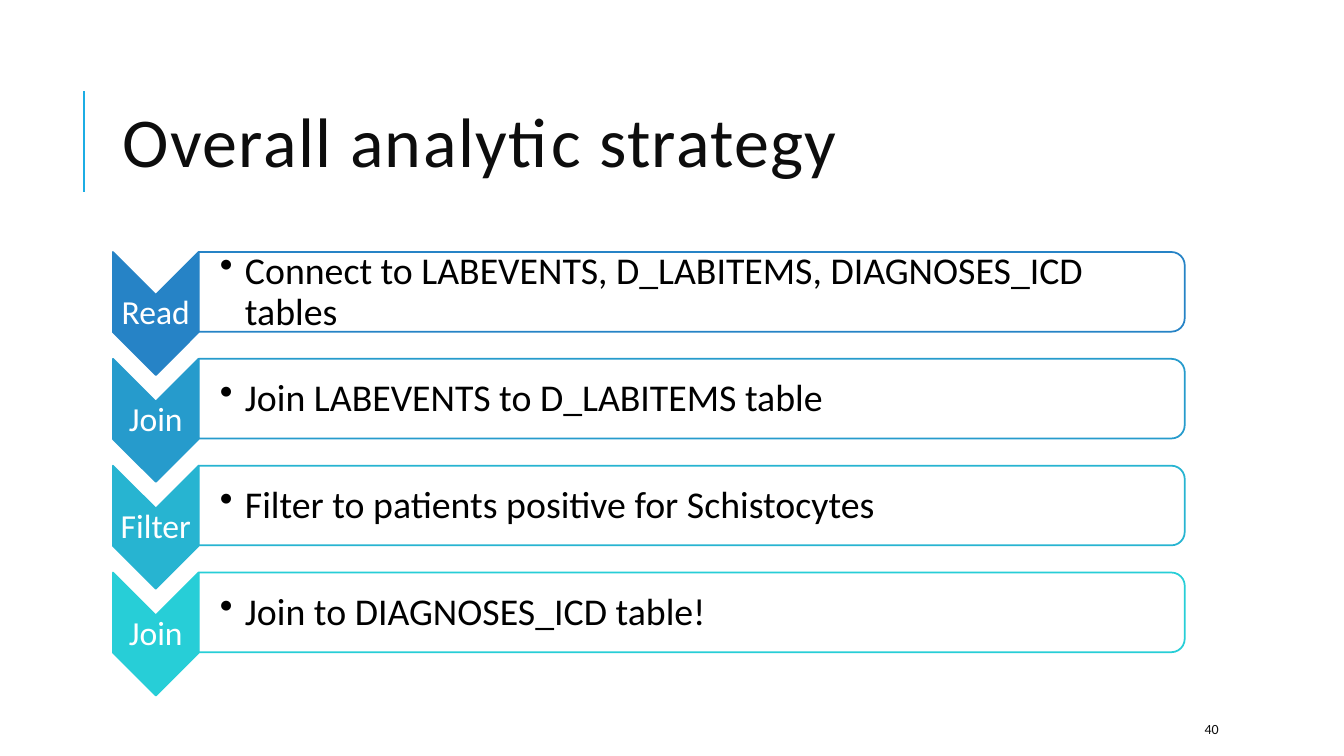
from lxml import etree
from pptx import Presentation
from pptx.dml.color import RGBColor
from pptx.enum import shapes, text
from pptx.oxml import ns
from pptx.util import Inches, Pt

COLORS = {
    "accent": "1CADE4", "title": "0D0D0D", "body": "000000", "white": "FFFFFF",
    "read": "2683C6", "join": "269BCC", "filter": "27B4D1", "final": "27CED7",
}
STEPS = [
    ("Read", "Connect to LABEVENTS, D_LABITEMS, DIAGNOSES_ICD tables", "read"),
    ("Join", "Join LABEVENTS to D_LABITEMS table", "join"),
    ("Filter", "Filter to patients positive for Schistocytes", "filter"),
    ("Join", "Join to DIAGNOSES_ICD table!", "final"),
]
ROW_PITCH = 1.06
CHEVRON_W, CHEVRON_H = 0.85, 1.22
BAR_H = 0.79


def rgb(name):
    return RGBColor.from_string(COLORS[name])


def add_text(s, box, content, size, color, inset=(0.1, 0.05, 0.1, 0.05), spacing=1.0):
    tb = s.shapes.add_textbox(*map(Inches, box))
    tf = tb.text_frame
    tf.word_wrap = True
    tf.vertical_anchor = text.MSO_ANCHOR.MIDDLE
    tf.margin_left, tf.margin_top, tf.margin_right, tf.margin_bottom = map(Inches, inset)
    tf.text = content
    p = tf.paragraphs[0]
    p.line_spacing = spacing
    font = p.runs[0].font
    font.name, font.size = "Calibri", Pt(size)
    font.color.rgb = rgb(color)
    return p


def add_turned(s, kind, box, fill, line):
    """Add a shape turned by 90 degrees so that it covers the given box."""
    x, y, w, h = box
    sp = s.shapes.add_shape(kind, Inches(x + (w - h) / 2), Inches(y + (h - w) / 2),
                            Inches(h), Inches(w))
    sp.rotation = 90
    sp.shadow.inherit = False
    sp.fill.solid()
    sp.fill.fore_color.rgb = rgb(fill)
    sp.line.color.rgb = rgb(line)
    sp.line.width = Pt(1.25)
    return sp


def add_bullet(p):
    pPr = p._p.get_or_add_pPr()
    pPr.set("marL", str(Inches(0.25)))
    pPr.set("indent", str(-Inches(0.25)))
    bu_color = etree.SubElement(pPr, ns.qn("a:buClr"))
    etree.SubElement(bu_color, ns.qn("a:srgbClr"), val=COLORS["body"])
    etree.SubElement(pPr, ns.qn("a:buChar"), char="•")


def add_header(s, x, y, w, h):
    # Accent rule beside the title
    rule = s.shapes.add_connector(shapes.MSO_CONNECTOR.STRAIGHT, Inches(x), Inches(y + 1.26),
                                  Inches(x), Inches(y + 0.26))
    rule.line.color.rgb = rgb("accent")
    rule.line.width = Pt(1.5)
    etree.SubElement(rule._element.spPr, ns.qn("a:effectLst"))
    # Title
    p = add_text(s, (x + 0.29, y, w - 0.29, h), "Overall analytic strategy", 50, "title",
                 spacing=0.8)
    p.runs[0]._r.get_or_add_rPr().set("spc", "100")


def add_step(s, x, y, w, label, detail, color):
    # Chevron and its label
    add_turned(s, shapes.MSO_SHAPE.CHEVRON, (x, y, CHEVRON_W, CHEVRON_H), color, color)
    p = add_text(s, (x, y + 0.43, CHEVRON_W, 0.37), label, 24, "white", (0.02,) * 4, 0.9)
    p.alignment = text.PP_ALIGN.CENTER
    # Bar with the bulleted description
    bar_x, bar_w = x + CHEVRON_W, w - CHEVRON_W
    bar = add_turned(s, shapes.MSO_SHAPE.ROUND_2_SAME_RECTANGLE,
                     (bar_x, y, bar_w, BAR_H), "white", color)
    solid = bar._element.spPr.find(ns.qn("a:solidFill"))
    etree.SubElement(solid[0], ns.qn("a:alpha"), val="90000")
    p = add_text(s, (bar_x, y + 0.04, bar_w - 0.04, 0.72), detail, 27, "body",
                 (0.21, 0.02, 0.02, 0.02), 0.9)
    add_bullet(p)


def add_steps(s, x, y, w):
    for i, step in enumerate(STEPS):
        add_step(s, x, y + i * ROW_PITCH, w, *step)


def main():
    prs = Presentation()
    prs.slide_width, prs.slide_height = Inches(13.33), Inches(7.5)
    s = prs.slides.add_slide(prs.slide_layouts[6])
    add_header(s, 0.83, 0.64, 10.92, 1.64)
    add_steps(s, 1.12, 2.5, 10.63)
    # Slide number
    add_text(s, (11.85, 7.08, 1.06, 0.3), "40", 10, "title")
    prs.save("out.pptx")


if __name__ == "__main__":
    main()
